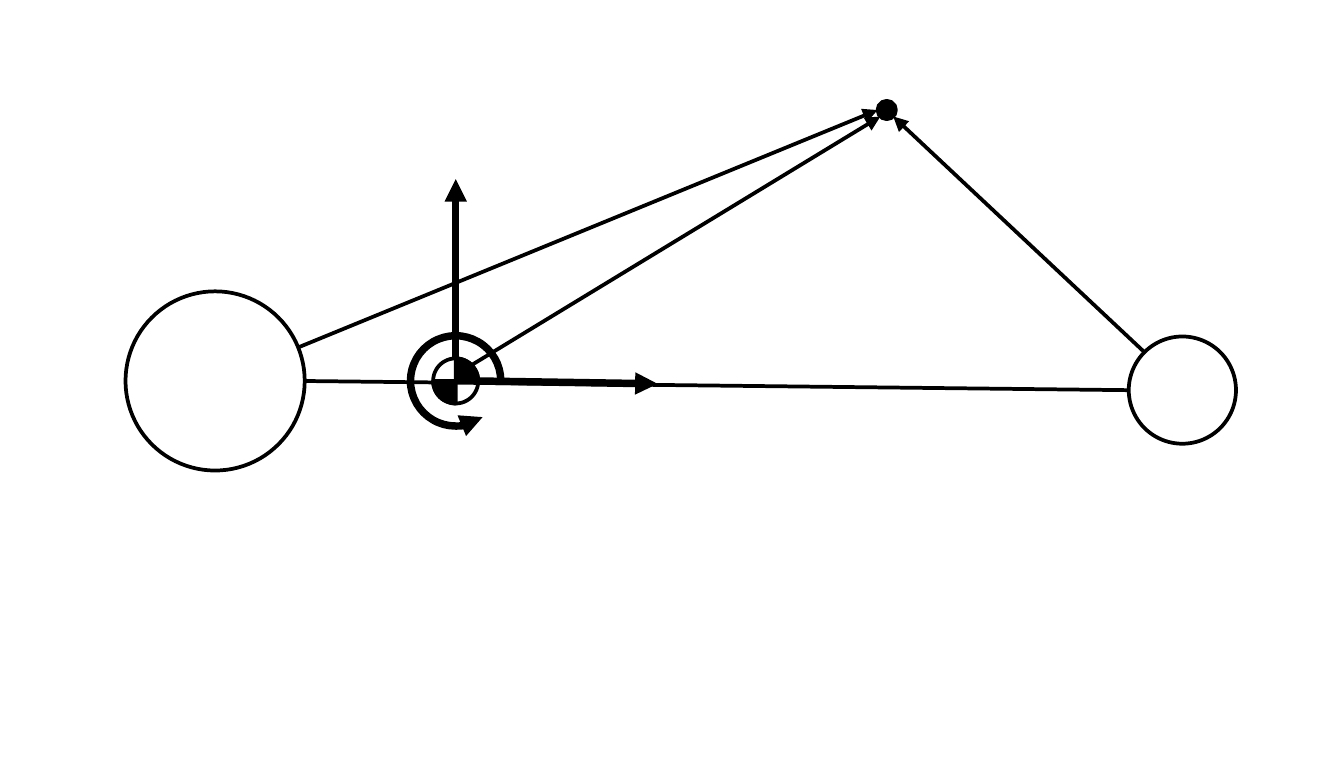
import math
from dataclasses import dataclass

import pptx
import pptx.dml.color
import pptx.enum.shapes
import pptx.oxml.ns
import pptx.util
from lxml import etree

Cm = pptx.util.Cm
SHAPE = pptx.enum.shapes.MSO_SHAPE
BLACK = pptx.dml.color.RGBColor(0x00, 0x00, 0x00)
THIN, THICK = 1.5, 3
DEGREE = 0.6  # one degree in shape adjustment units


@dataclass
class Circle:
    """A circle by centre and radius, in centimetres."""
    x: float
    y: float
    radius: float

    def rim(self, degrees):
        """Point on the rim; angles run clockwise from the right."""
        angle = math.radians(degrees)
        return (self.x + self.radius * math.cos(angle),
                self.y + self.radius * math.sin(angle))


def add_arrowhead(shape, end):
    line = shape.line._get_or_add_ln()
    etree.SubElement(line, pptx.oxml.ns.qn(f"a:{end}"), type="triangle")


def add_round(shapes, circle, kind=SHAPE.OVAL, filled=False, width=THIN, angles=()):
    size = Cm(2 * circle.radius)
    shape = shapes.add_shape(kind, Cm(circle.x - circle.radius),
                             Cm(circle.y - circle.radius), size, size)
    for index, degrees in enumerate(angles):
        shape.adjustments[index] = degrees * DEGREE
    shape.shadow.inherit = False
    if filled:
        shape.fill.solid()
        shape.fill.fore_color.rgb = BLACK
    else:
        shape.fill.background()
    shape.line.color.rgb = BLACK
    shape.line.width = pptx.util.Pt(width)
    return shape


def add_line(shapes, start, end, width=THIN, arrow=True):
    line = shapes.add_connector(pptx.enum.shapes.MSO_CONNECTOR.STRAIGHT,
                                *(Cm(length) for length in (*start, *end)))
    line.line.color.rgb = BLACK
    line.line.width = pptx.util.Pt(width)
    if arrow:
        add_arrowhead(line, "tailEnd")
    etree.SubElement(line._element.spPr, pptx.oxml.ns.qn("a:effectLst"))


def add_rotating_frame(shapes, barycenter):
    """Barycenter marker with its two axes and the rotation arrow."""
    frame = shapes.add_group_shape().shapes
    axis_length = 2.54

    # Quartered marker
    for angles in ((270, 0), (90, 180)):
        add_round(frame, barycenter, SHAPE.PIE, filled=True, angles=angles)
    add_round(frame, barycenter)

    # Axes
    top, right = barycenter.rim(-90), barycenter.rim(0)
    add_line(frame, top, (top[0], top[1] - axis_length), THICK)
    add_line(frame, right, (right[0] + axis_length, right[1] + 0.04), THICK)

    # Rotation arrow
    turn = Circle(barycenter.x, barycenter.y, 2 * barycenter.radius)
    rotation = add_round(frame, turn, SHAPE.ARC, width=THICK, angles=(53.4, 2.1))
    add_arrowhead(rotation, "headEnd")


def add_three_body_diagram(shapes, left, top):
    """Two primaries, their barycenter and a small third body."""
    primary = Circle(left + 1.27, top + 3.84, 1.27)
    secondary = Circle(left + 14.98, top + 3.97, 0.76)
    barycenter = Circle(left + 4.68, top + 3.84, 0.32)
    third_body = Circle(left + 10.79, top, 0.13)

    # Primaries and the line between them
    add_round(shapes, primary)
    add_round(shapes, secondary)
    add_line(shapes, primary.rim(0), secondary.rim(180), arrow=False)

    add_rotating_frame(shapes, barycenter)

    # Third body and its position vectors
    add_round(shapes, third_body, filled=True)
    for body, leaving, arriving in ((barycenter, -45, 135),
                                    (secondary, -135, 45),
                                    (primary, -22, 180)):
        add_line(shapes, body.rim(leaving), third_body.rim(arriving))


def main():
    deck = pptx.Presentation()
    deck.slide_width, deck.slide_height = Cm(19.05), Cm(10.8)
    slide = deck.slides.add_slide(deck.slide_layouts[6])
    add_three_body_diagram(slide.shapes, left=1.78, top=1.56)
    deck.save("out.pptx")


if __name__ == "__main__":
    main()
